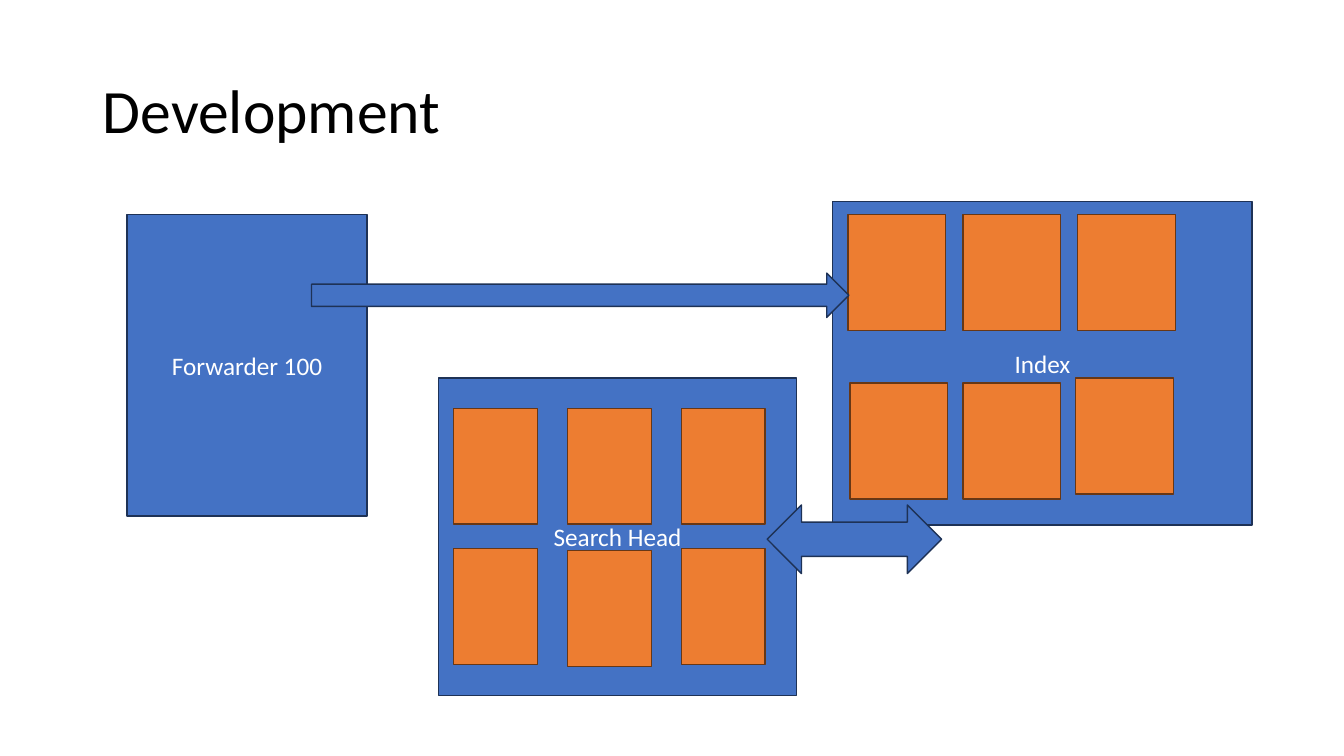
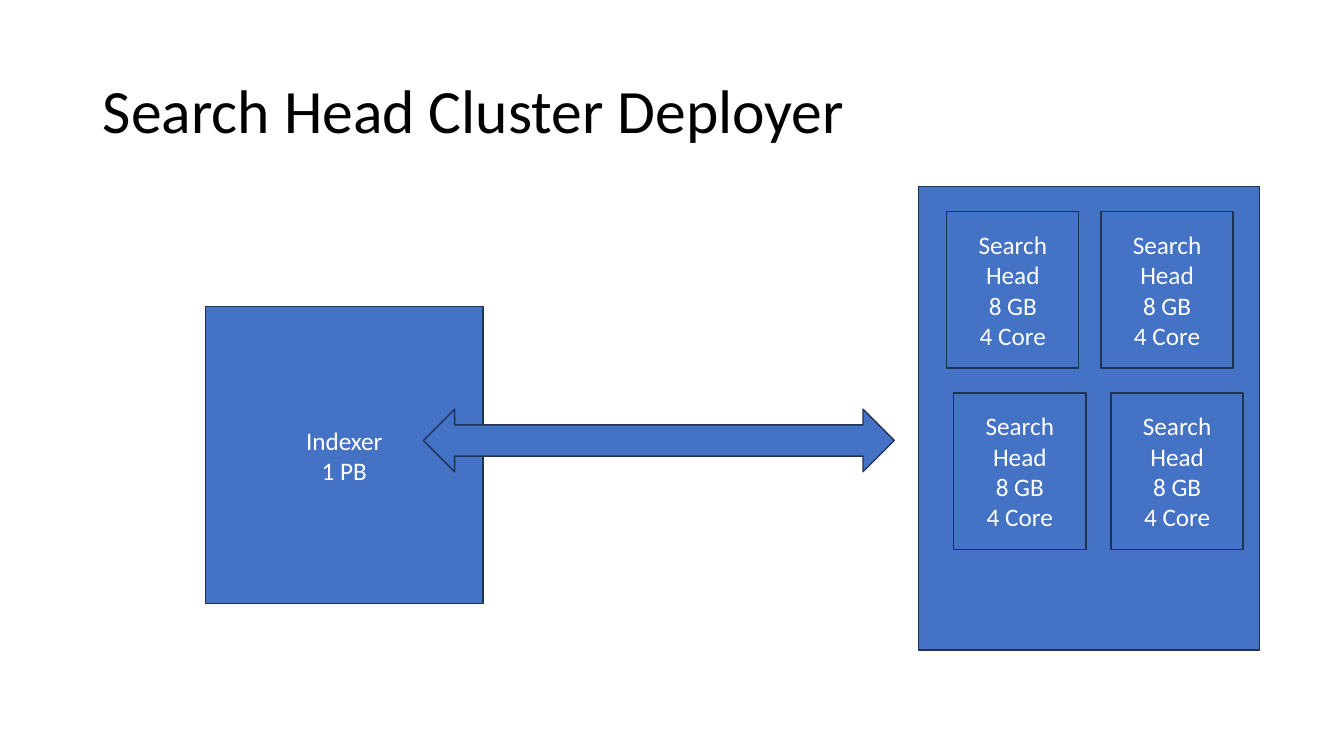
from pptx import Presentation
from pptx import util as u
from pptx.dml.color import RGBColor
from pptx.enum import shapes, text

COLORS = {
    "blue": "4472C4",
    "blue_line": "1E3256",
    "orange": "ED7D31",
    "orange_line": "683715",
    "white": "FFFFFF",
    "black": "000000",
}
FONT = "Calibri"
TITLE_BOX = (0.92, 0.4, 11.5, 1.45)
TITLE_FONT = {"name": FONT, "size": u.Pt(44), "bold": False}
LABEL_FONT = {"name": FONT, "size": u.Pt(18)}
TITLE_FRAME = {
    "word_wrap": True,
    "auto_size": text.MSO_AUTO_SIZE.NONE,
    "vertical_anchor": text.MSO_ANCHOR.MIDDLE,
}
LABEL_FRAME = {"word_wrap": True, "vertical_anchor": text.MSO_ANCHOR.MIDDLE}
TITLE_PARAGRAPH = {"alignment": text.PP_ALIGN.LEFT, "line_spacing": 0.9}
LABEL_PARAGRAPH = {"alignment": text.PP_ALIGN.CENTER}
SHAPE = shapes.MSO_SHAPE
SEARCH_HEAD = ("Search Head", "8 GB", "4 Core")


def rgb(name):
    return RGBColor.from_string(COLORS[name])


def apply(target, values):
    for name, value in values.items():
        setattr(target, name, value)


def write(tf, lines, frame, paragraph, font, color):
    apply(tf, frame)
    for i, line in enumerate(lines):
        p = tf.add_paragraph() if i else tf.paragraphs[0]
        apply(p, paragraph)
        r = p.add_run()
        r.text = line
        apply(r.font, font)
        r.font.color.rgb = rgb(color)


def add_slide(prs, title):
    s = prs.slides.add_slide(prs.slide_layouts[5])
    sp = s.shapes.title
    sides = ("left", "top", "width", "height")
    apply(sp, dict(zip(sides, map(u.Inches, TITLE_BOX))))
    write(sp.text_frame, [title], TITLE_FRAME, TITLE_PARAGRAPH, TITLE_FONT, "black")
    return s


def add_block(s, box, lines=(), kind=SHAPE.RECTANGLE, color="blue"):
    sp = s.shapes.add_shape(kind, *map(u.Inches, box))
    sp.shadow.inherit = False
    sp.fill.solid()
    sp.fill.fore_color.rgb = rgb(color)
    sp.line.color.rgb = rgb(color + "_line")
    sp.line.width = u.Pt(1)
    if lines:
        write(sp.text_frame, lines, LABEL_FRAME, LABEL_PARAGRAPH, LABEL_FONT, "white")


def add_row(s, left, pitch, tops, size, lines=(), color="blue"):
    for i, top in enumerate(tops):
        add_block(s, (left + i * pitch, top, *size), lines, color=color)


def build_development(prs):
    s = add_slide(prs, "Development")
    add_block(s, (1.26, 2.13, 2.38, 2.99), ["Forwarder 100"])

    add_block(s, (8.26, 2, 4.16, 3.21), ["Index"])
    index_cell = (0.97, 1.15)
    add_row(s, 8.41, 1.14, (2.13, 2.13, 2.13), index_cell, color="orange")
    add_row(s, 8.43, 1.12, (3.8, 3.8, 3.75), index_cell, color="orange")

    add_block(s, (4.35, 3.75, 3.55, 3.15), ["Search Head"])
    for tops in ((4.05, 4.05, 4.05), (5.44, 5.46, 5.44)):
        add_row(s, 4.5, 1.13, tops, (0.83, 1.15), color="orange")

    add_block(s, (3.09, 2.71, 5.33, 0.44), kind=SHAPE.RIGHT_ARROW)
    add_block(s, (7.61, 5.01, 1.73, 0.68), kind=SHAPE.LEFT_RIGHT_ARROW)


def build_deployer(prs):
    s = add_slide(prs, "Search Head Cluster Deployer")
    add_block(s, (9.11, 1.85, 3.38, 4.6))
    add_block(s, (2.04, 3.04, 2.75, 2.95), ["Indexer", "1 PB"])
    add_block(s, (4.2, 4.06, 4.67, 0.62), kind=SHAPE.LEFT_RIGHT_ARROW)
    for left, pitch, top in ((9.39, 1.53, 2.1), (9.46, 1.56, 3.9)):
        add_row(s, left, pitch, (top, top), (1.31, 1.55), SEARCH_HEAD)


def main():
    prs = Presentation()
    prs.slide_width = u.Inches(13.33)
    prs.slide_height = u.Inches(7.5)
    build_development(prs)
    build_deployer(prs)
    prs.save("out.pptx")


if __name__ == "__main__":
    main()
